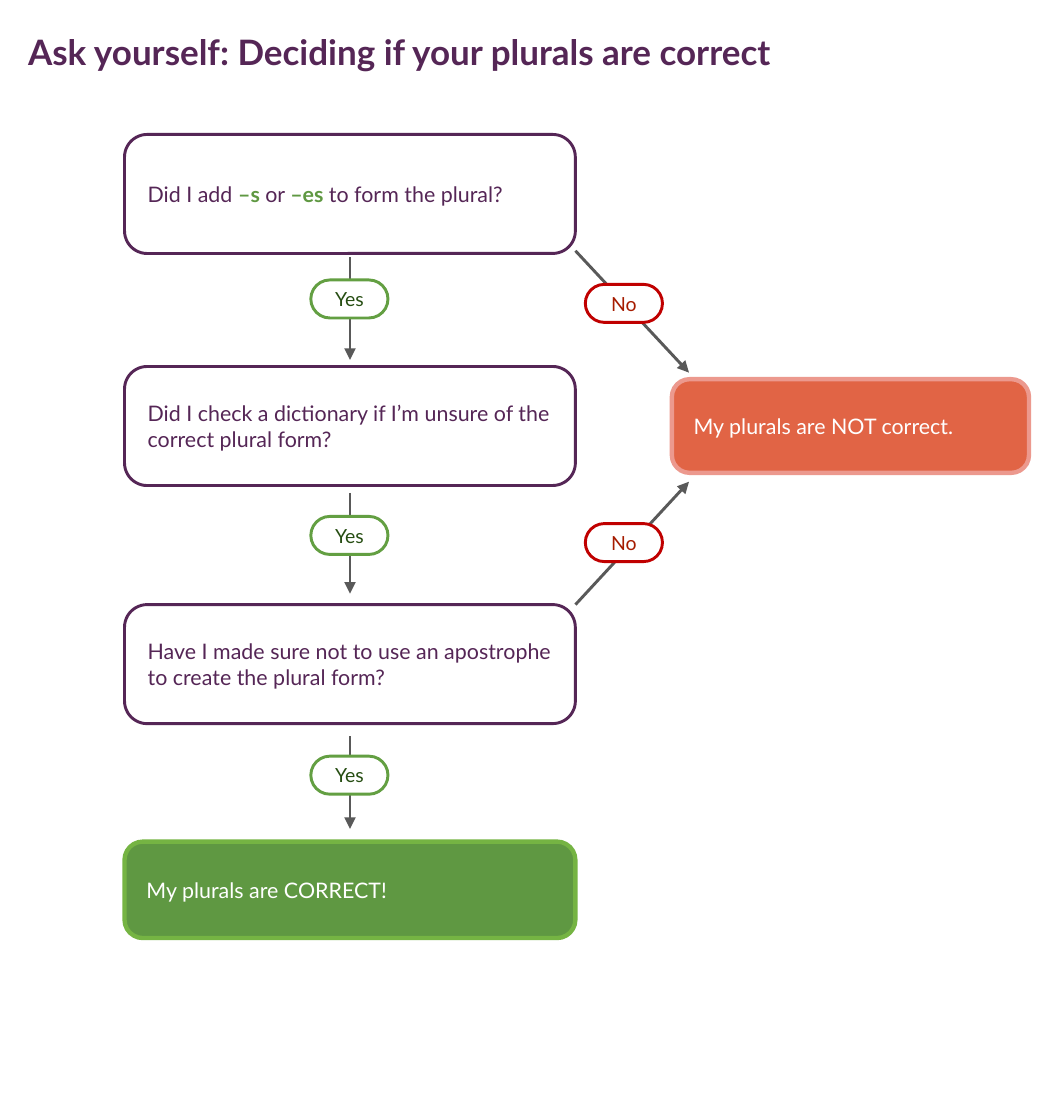
from pptx import Presentation
from pptx.dml.color import RGBColor
from pptx.enum.shapes import MSO_CONNECTOR, MSO_SHAPE
from pptx.enum.text import MSO_ANCHOR, PP_ALIGN
from pptx.oxml.ns import qn
from pptx.util import Cm, Pt
from lxml.etree import SubElement

COLORS = {
    "plum": "552656", "white": "FFFFFF", "gray": "595959",
    "green": "5F9842", "lime": "75B443", "leaf": "639F42", "moss": "274E13",
    "coral": "E16445", "pink": "EC998E", "red": "C00000", "rust": "A61C00",
}
PAD = Cm(0.3)


def color(name):
    return RGBColor.from_string(COLORS[name])


def add_box(area, parts, fill, edge, ink, width=1.5, size=11, pill=False):
    """Add a rounded box; every second text part is bold and green."""
    box = slide.shapes.add_shape(
        MSO_SHAPE.ROUNDED_RECTANGLE, *[Cm(n) for n in area])
    box.adjustments[0] = 0.5 if pill else 0.19
    box.shadow.inherit = False
    box.fill.solid()
    box.fill.fore_color.rgb = color(fill)
    box.line.color.rgb = color(edge)
    box.line.width = Pt(width)
    frame = box.text_frame
    frame.word_wrap = True
    frame.vertical_anchor = MSO_ANCHOR.MIDDLE
    frame.margin_top = frame.margin_bottom = PAD
    frame.margin_left = frame.margin_right = 0 if pill else PAD
    par = frame.paragraphs[0]
    par.alignment = PP_ALIGN.CENTER if pill else PP_ALIGN.LEFT
    for i, part in enumerate(parts):
        run = par.add_run()
        run.text = part
        run.font.name = "Lato"
        run.font.size = Pt(size)
        run.font.bold = i % 2 == 1
        run.font.color.rgb = color("green" if i % 2 else ink)


deck = Presentation()
deck.slide_width, deck.slide_height = Cm(19.05), Cm(20.32)
slide = deck.slides.add_slide(deck.slide_layouts[6])

# Title
title = slide.shapes.add_textbox(Cm(0.51), Cm(0.25), Cm(15), Cm(1.5))
frame = title.text_frame
frame.word_wrap = True
frame.margin_left = frame.margin_right = 0
frame.margin_top = frame.margin_bottom = PAD
par = frame.paragraphs[0]
par.text = "Ask yourself: Deciding if your plurals are correct"
font = par.runs[0].font
font.name, font.size, font.bold = "Lato", Pt(18), True
font.color.rgb = color("plum")

# Questions and outcomes
left, wide = 2.26, 8.18
asks = [
    (2.44, ["Did I add ", "–s ", "or ", "–es ", "to form the plural?"]),
    (6.65, ["Did I check a dictionary if I’m unsure of the correct "
            "plural form?"]),
    (10.97, ["Have I made sure not to use an apostrophe to create the "
             "plural form?"]),
]
for top, parts in asks:
    add_box((left, top, wide, 2.16), parts, "white", "plum", "plum")
add_box((left, 15.27, wide, 1.75), ["My plurals are CORRECT!"],
        "green", "lime", "white", width=2.25)
add_box((12.19, 6.88, 6.48, 1.7), ["My plurals are NOT correct."],
        "coral", "pink", "white", width=2.25)

# Arrows
mid, right, goal = left + wide / 2, left + wide, 12.5
arrows = [
    (mid, 4.67, mid, 6.53),
    (mid, 8.94, mid, 10.77),
    (mid, 13.36, mid, 15.04),
    (right, 4.55, goal, 6.76),
    (right, 10.97, goal, 8.74),
]
for ends in arrows:
    arrow = slide.shapes.add_connector(
        MSO_CONNECTOR.STRAIGHT, *[Cm(n) for n in ends])
    arrow.line.color.rgb = color("gray")
    arrow.line.width = Pt(1.5)
    SubElement(arrow.line._get_or_add_ln(), qn("a:tailEnd"), type="triangle")
    SubElement(arrow._element.spPr, qn("a:effectLst"))

# Answers on the arrows
answers = [
    ("Yes", 5.64, (5.08, 9.37, 13.72), "leaf", "moss"),
    ("No", 10.62, (5.16, 9.5), "red", "rust"),
]
for word, x, tops, edge, ink in answers:
    for top in tops:
        add_box((x, top, 1.4, 0.69), [word], "white", edge, ink,
                size=10, pill=True)

deck.save("out.pptx")
